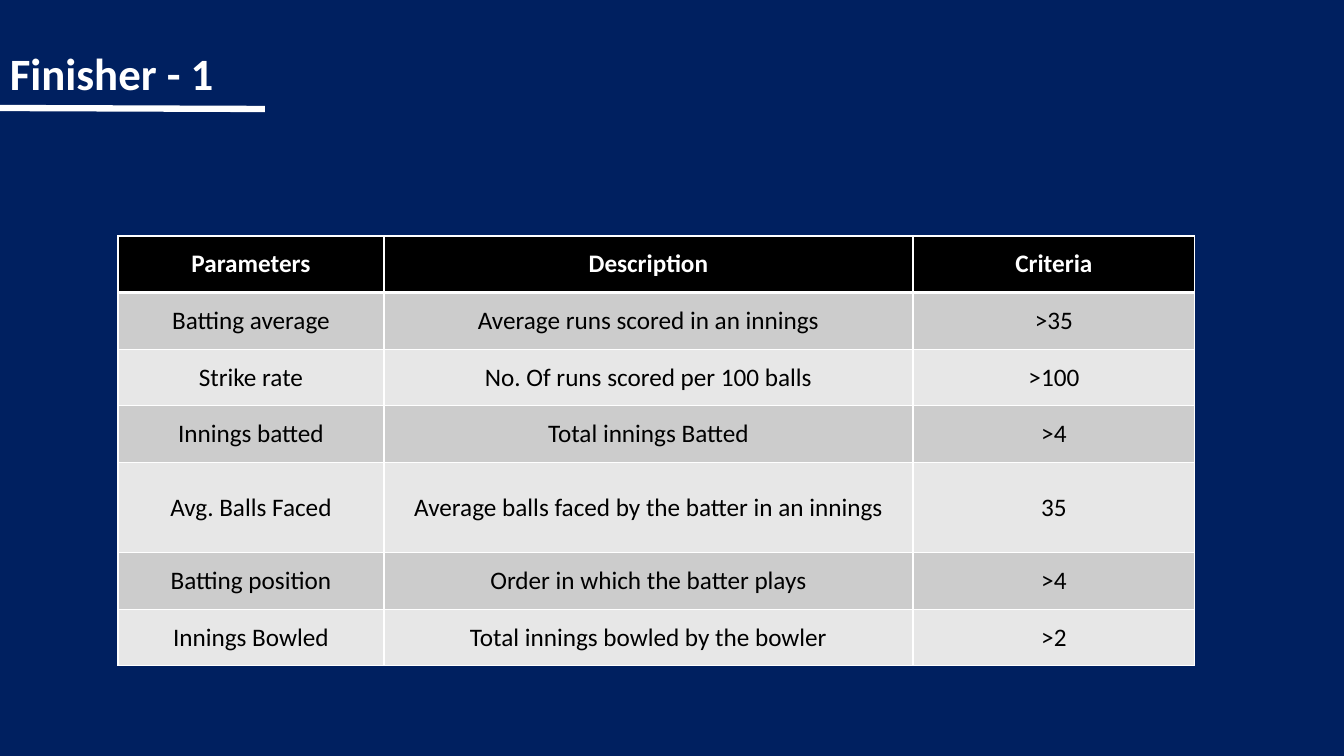
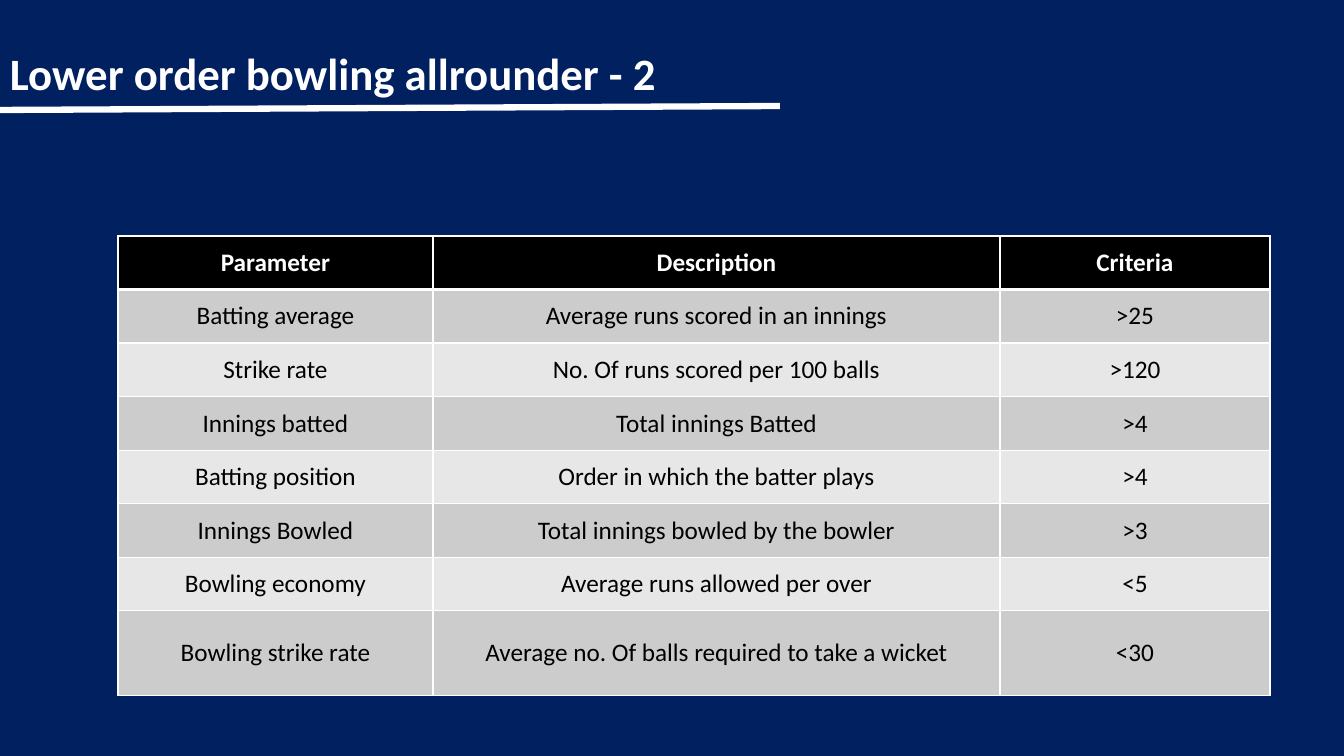
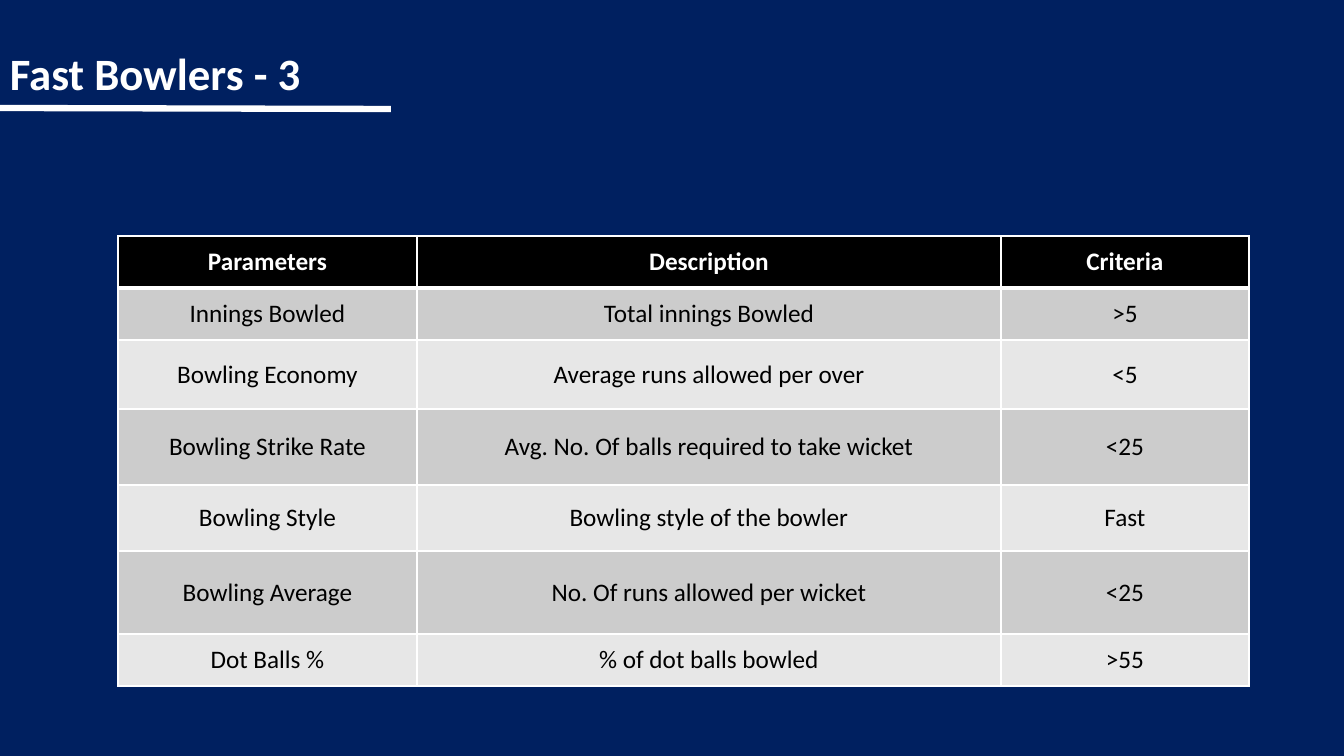
from lxml import etree
from pptx import Presentation
from pptx import util as u
from pptx.dml.color import RGBColor
from pptx.enum import shapes, text
from pptx.oxml import ns

PX_PER_INCH = 100.8
FONT = "Calibri"
NAVY = RGBColor(0x00, 0x20, 0x60)
WHITE = RGBColor(0xFF, 0xFF, 0xFF)
BLACK = RGBColor(0x00, 0x00, 0x00)
DARK_BAND = RGBColor(0xCC, 0xCC, 0xCC)
LIGHT_BAND = RGBColor(0xE7, 0xE7, 0xE7)

SLIDE_BOX = (0, 0, 1344, 756)
TITLE_BOX = (0, 0, 980, 105)
TABLE_LEFT, TABLE_TOP = 118, 236

AVERAGE = ("Batting average", "Average runs scored in an innings")
STRIKE = ("Strike rate", "No. Of runs scored per 100 balls")
BATTED = ("Innings batted", "Total innings Batted")
POSITION = ("Batting position", "Order in which the batter plays")
BOWLED = ("Innings Bowled", "Total innings bowled by the bowler")

ROLES = [
    {
        "title": "Finisher - 1",
        "underline": (3, 265, 4),
        "columns": [266, 529, 282],
        "height": 430,
        "tall_rows": {4: 90},
        "rows": [
            ("Parameters", "Description", "Criteria"),
            (*AVERAGE, ">35"),
            (*STRIKE, ">100"),
            (*BATTED, ">4"),
            ("Avg. Balls Faced", "Average balls faced by the batter in an innings", "35"),
            (*POSITION, ">4"),
            (*BOWLED, ">2"),
        ],
    },
    {
        "title": "Lower order bowling allrounder - 2",
        "underline": (5, 780, 1),
        "columns": [315, 567, 270],
        "height": 460,
        "tall_rows": {7: 85},
        "rows": [
            ("Parameter", "Description", "Criteria"),
            (*AVERAGE, ">25"),
            (*STRIKE, ">120"),
            (*BATTED, ">4"),
            (*POSITION, ">4"),
            (*BOWLED, ">3"),
            ("Bowling economy", "Average runs allowed per over", "<5"),
            ("Bowling strike rate", "Average no. Of balls required to take a wicket", "<30"),
        ],
    },
    {
        "title": "Fast Bowlers - 3",
        "underline": (3, 391, 4),
        "columns": [299, 584, 248],
        "height": 450,
        "tall_rows": {2: 69, 3: 76, 4: 66, 5: 83},
        "rows": [
            ("Parameters", "Description", "Criteria"),
            ("Innings Bowled", "Total innings Bowled", ">5"),
            ("Bowling Economy", "Average runs allowed per over", "<5"),
            ("Bowling Strike Rate", "Avg. No. Of balls required to take wicket", "<25"),
            ("Bowling Style", "Bowling style of the bowler", "Fast"),
            ("Bowling Average", "No. Of runs allowed per wicket", "<25"),
            ("Dot Balls %", "% of dot balls bowled", ">55"),
        ],
    },
]


def px(length):
    return u.Inches(length / PX_PER_INCH)


def add_run(paragraph, words, size, color, bold):
    run = paragraph.add_run()
    run.text = words
    run.font.name = FONT
    run.font.size = u.Pt(size)
    run.font.bold = bold
    run.font.color.rgb = color


def add_title(slide, box, words, underline):
    left, top, width, height = box
    heading = slide.shapes.add_textbox(*map(px, box)).text_frame
    heading.word_wrap = True
    heading.vertical_anchor = text.MSO_ANCHOR.BOTTOM
    heading.paragraphs[0].line_spacing = 0.9
    add_run(heading.paragraphs[0], words, 32, WHITE, True)

    start_drop, length, end_drop = underline
    bottom = top + height
    rule = slide.shapes.add_connector(
        shapes.MSO_CONNECTOR.STRAIGHT,
        px(left), px(bottom + start_drop), px(left + length), px(bottom + end_drop),
    )
    rule.line.color.rgb = WHITE
    rule.line.width = u.Pt(4.5)
    etree.SubElement(rule._element.spPr, ns.qn("a:effectLst"))


def set_borders(cell, top, bottom):
    properties = cell._tc.get_or_add_tcPr()
    widths = {"a:lnL": 1, "a:lnR": 1, "a:lnT": top, "a:lnB": bottom}
    for position, (side, width) in enumerate(widths.items()):
        border = etree.Element(ns.qn(side), w=str(u.Pt(width)))
        fill = etree.SubElement(border, ns.qn("a:solidFill"))
        etree.SubElement(fill, ns.qn("a:srgbClr"), val=str(WHITE))
        properties.insert(position, border)


def fill_cell(cell, words, row_index):
    is_header = row_index == 0
    band = DARK_BAND if row_index % 2 else LIGHT_BAND
    cell.fill.solid()
    cell.fill.fore_color.rgb = BLACK if is_header else band
    cell.vertical_anchor = text.MSO_ANCHOR.MIDDLE
    set_borders(cell, 3 if row_index == 1 else 1, 3 if is_header else 1)
    paragraph = cell.text_frame.paragraphs[0]
    paragraph.alignment = text.PP_ALIGN.CENTER
    add_run(paragraph, words, 18, WHITE if is_header else BLACK, is_header)


def add_criteria(slide, left, top, role):
    rows, columns = role["rows"], role["columns"]
    height, tall_rows = role["height"], role["tall_rows"]
    criteria = slide.shapes.add_table(
        len(rows), len(columns), px(left), px(top), px(sum(columns)), px(height)
    ).table
    criteria.horz_banding = False
    for column, width in zip(criteria.columns, columns):
        column.width = px(width)
    plain_height = (height - sum(tall_rows.values())) / (len(rows) - len(tall_rows))
    for row_index, entries in enumerate(rows):
        criteria.rows[row_index].height = px(tall_rows.get(row_index, plain_height))
        for column_index, words in enumerate(entries):
            fill_cell(criteria.cell(row_index, column_index), words, row_index)


def add_role_slide(deck, role):
    slide = deck.slides.add_slide(deck.slide_layouts[6])
    slide.background.fill.solid()
    slide.background.fill.fore_color.rgb = NAVY
    add_title(slide, TITLE_BOX, role["title"], role["underline"])
    add_criteria(slide, TABLE_LEFT, TABLE_TOP, role)


def main():
    deck = Presentation()
    deck.slide_width, deck.slide_height = map(px, SLIDE_BOX[2:])
    for role in ROLES:
        add_role_slide(deck, role)
    deck.save("out.pptx")


if __name__ == "__main__":
    main()
